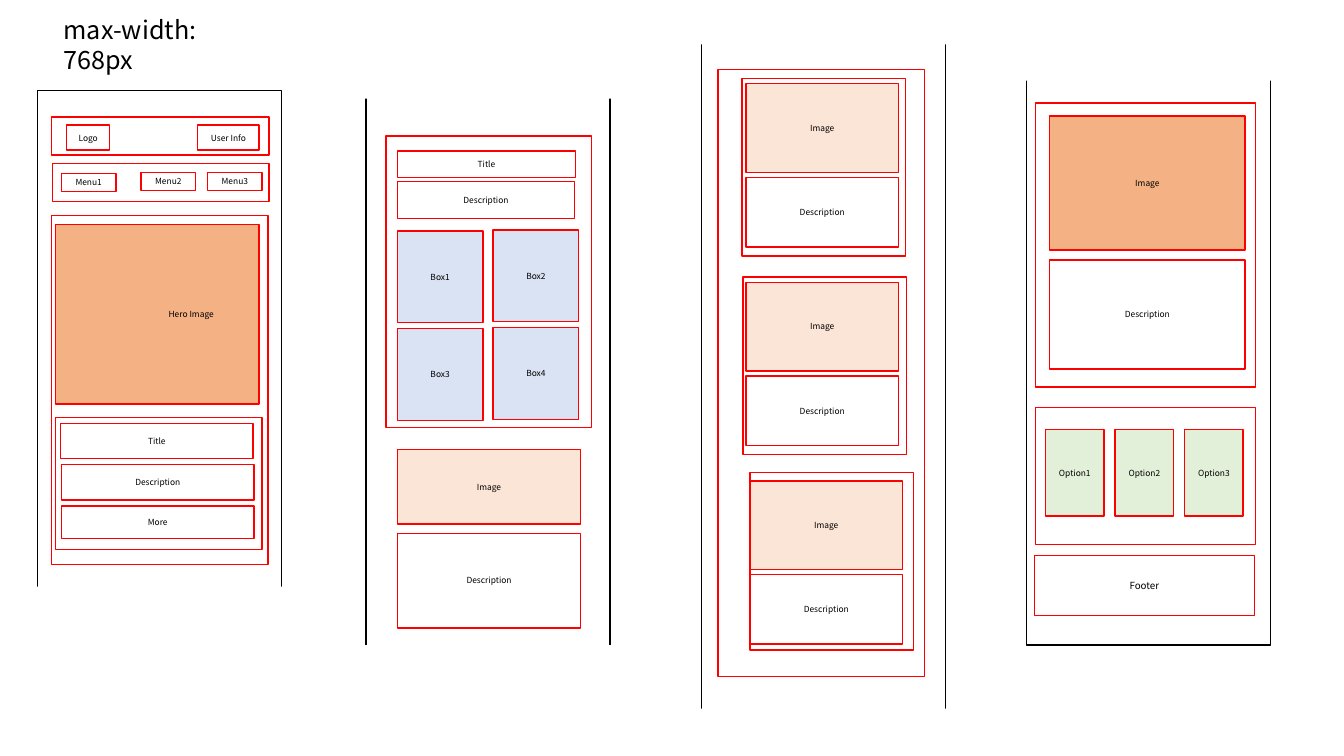
import pptx
import pptx.dml.color
import pptx.enum.shapes
import pptx.enum.text
import pptx.util

RGBColor = pptx.dml.color.RGBColor
BLACK = RGBColor(0x00, 0x00, 0x00)
WHITE = RGBColor(0xFF, 0xFF, 0xFF)
RED = RGBColor(0xFF, 0x00, 0x00)
ORANGE = RGBColor(0xF4, 0xB1, 0x83)
PEACH = RGBColor(0xFB, 0xE5, 0xD6)
BLUE = RGBColor(0xDA, 0xE3, 0xF3)
GREEN = RGBColor(0xE2, 0xF0, 0xD9)
FONT = "Noto Sans CJK KR"
PX = 9144


def write(frame, text, size):
    para = frame.paragraphs[0]
    span = para.add_run()
    span.text = text
    span.font.name = FONT
    span.font.size = pptx.util.Pt(size)
    span.font.color.rgb = BLACK
    return para


def add_box(page, origin, area, label="", fill=None, line=RED, size=6):
    left, top, width, height = area
    box = page.shapes.add_shape(
        pptx.enum.shapes.MSO_SHAPE.RECTANGLE,
        (origin[0] + left) * PX, (origin[1] + top) * PX, width * PX, height * PX)
    box.shadow.inherit = False
    if fill is None:
        box.fill.background()
    else:
        box.fill.solid()
        box.fill.fore_color.rgb = fill
    if line is None:
        box.line.fill.background()
    else:
        box.line.color.rgb = line
        box.line.width = pptx.util.Pt(1)
    if label:
        box.text_frame.vertical_anchor = pptx.enum.text.MSO_ANCHOR.MIDDLE
        para = write(box.text_frame, label, size)
        para.alignment = pptx.enum.text.PP_ALIGN.CENTER
    return box


def add_screen(page, area):
    add_box(page, (0, 0), area, line=BLACK)


def add_mask(page, origin, area):
    add_box(page, origin, area, fill=WHITE, line=None)


def add_heading(page, area):
    title = page.shapes.title
    title.left, title.top, title.width, title.height = (length * PX for length in area)
    frame = title.text_frame
    frame.word_wrap = True
    frame.auto_size = pptx.enum.text.MSO_AUTO_SIZE.NONE
    frame.vertical_anchor = pptx.enum.text.MSO_ANCHOR.TOP
    para = write(frame, "max-width: 768px", 18)
    para.alignment = pptx.enum.text.PP_ALIGN.LEFT
    para.line_spacing = pptx.util.Pt(21.5)


def add_hero_screen(page, area):
    origin = area[:2]
    hero = add_box(page, origin, (18, 133, 202, 178), "Hero Image", ORANGE)
    hero.text_frame.margin_left = 77 * PX
    add_screen(page, area)
    add_box(page, origin, (14, 26, 216, 38))
    add_box(page, origin, (29, 34, 43, 25), "Logo")
    add_box(page, origin, (159, 34, 61, 25), "User Info")
    add_box(page, origin, (14, 124, 215, 346))
    add_box(page, origin, (18, 324, 205, 131))
    add_box(page, origin, (23, 330, 191, 35), "Title", WHITE)
    add_box(page, origin, (24, 371, 191, 35), "Description", WHITE)
    add_box(page, origin, (24, 412, 191, 32), "More", WHITE)
    for number, (left, top) in enumerate([(24, 82), (103, 81), (169, 81)], 1):
        add_box(page, origin, (left, top, 54, 18), f"Menu{number}")
    add_box(page, origin, (15, 72, 215, 38))
    add_mask(page, origin, (-6, 492, 280, 14))


def add_grid_screen(page, area):
    origin = area[:2]
    add_screen(page, area)
    add_mask(page, origin, (-16, 557, 280, 26))
    add_box(page, origin, (20, 52, 204, 289))
    add_box(page, origin, (31, 67, 177, 26), "Title")
    add_box(page, origin, (31, 97, 176, 37), "Description")
    for index in range(4):
        row, column = divmod(index, 2)
        cell = (31 + 95 * column, 146 + 97 * row - column, 85, 91)
        add_box(page, origin, cell, f"Box{index + 1}", BLUE)
    add_box(page, origin, (31, 363, 182, 74), "Image", PEACH)
    add_box(page, origin, (31, 446, 182, 94), "Description")
    add_mask(page, origin, (-16, -17, 306, 32))


def add_card(page, origin, inset_left, inset_top):
    add_box(page, origin, (0, 0, 162, 176))
    add_box(page, origin, (inset_left, inset_top, 151, 88), "Image", PEACH)
    add_box(page, origin, (inset_left, inset_top + 93, 151, 69), "Description")


def add_card_screen(page, area):
    left, top = origin = area[:2]
    add_screen(page, area)
    add_box(page, origin, (16, 48, 205, 602))
    add_card(page, (left + 40, top + 57), 4, 5)
    add_card(page, (left + 41, top + 254), 3, 5)
    add_card(page, (left + 48, top + 448), 0, 8)
    add_mask(page, origin, (-17, -9, 306, 32))
    add_mask(page, origin, (-35, 682, 306, 32))


def add_option_screen(page, area):
    origin = area[:2]
    add_screen(page, area)
    add_box(page, origin, (9, 32, 218, 282))
    add_box(page, origin, (23, 45, 194, 133), "Image", ORANGE)
    add_box(page, origin, (23, 188, 194, 108), "Description")
    add_box(page, origin, (9, 334, 218, 136))
    for index in range(3):
        option = (19 + 69 * index, 356, 58, 86)
        add_box(page, origin, option, f"Option{index + 1}", GREEN)
    add_box(page, origin, (8, 481, 218, 60), "Footer", size=7)
    add_mask(page, origin, (-36, -22, 306, 32))


def main():
    deck = pptx.Presentation()
    deck.slide_width = 1333 * PX
    deck.slide_height = 750 * PX
    page = deck.slides.add_slide(deck.slide_layouts[5])
    add_hero_screen(page, (37, 90, 242, 500))
    add_card_screen(page, (696, 21, 242, 709))
    add_option_screen(page, (1018, 70, 242, 570))
    add_grid_screen(page, (363, 83, 242, 572))
    add_heading(page, (53, 9, 224, 70))
    deck.save("out.pptx")


if __name__ == "__main__":
    main()
